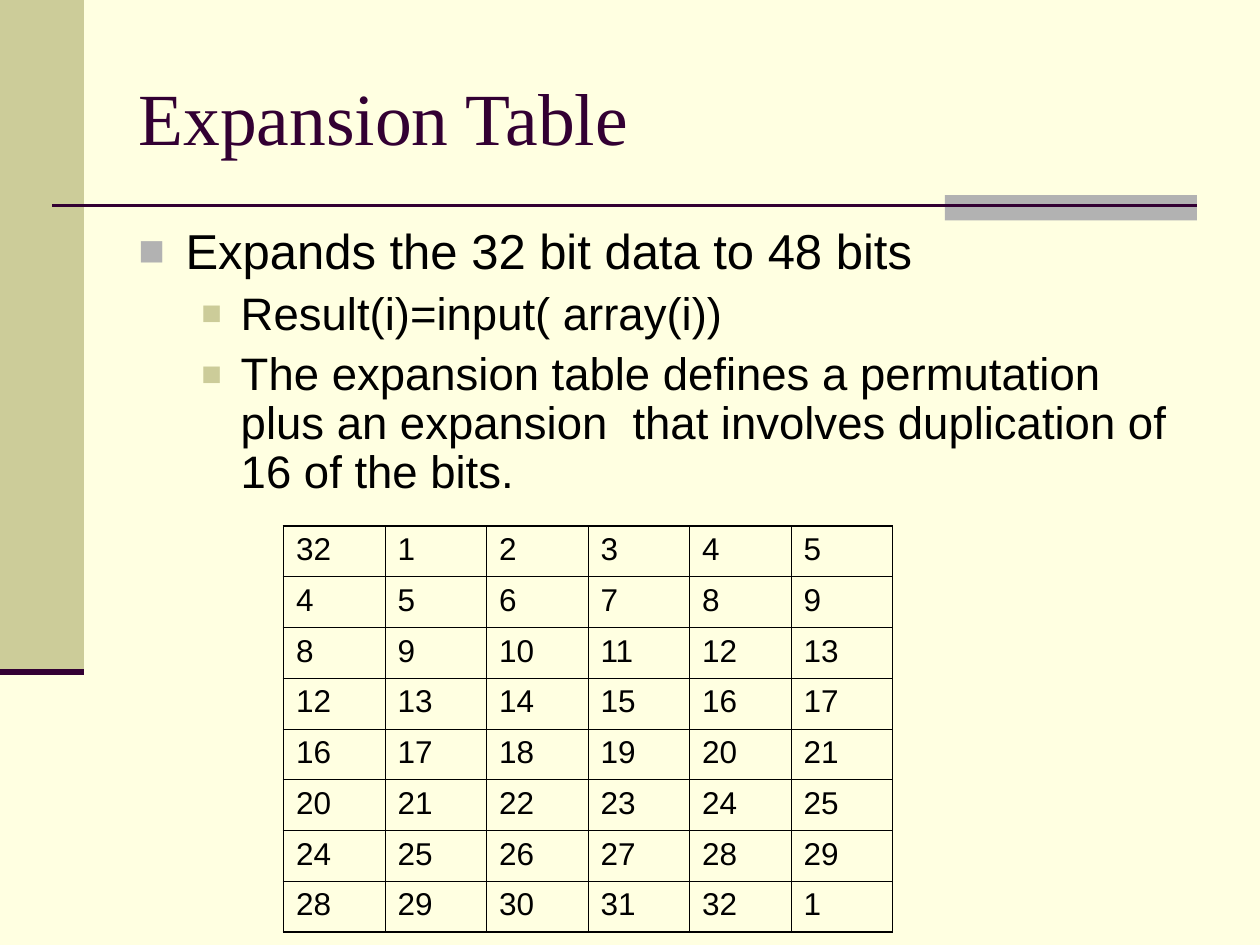
import lxml.etree
import pptx
import pptx.dml.color
import pptx.enum.shapes
import pptx.enum.text
import pptx.oxml.ns
import pptx.util

COLORS = {
    "background": "FFFFE1",
    "sidebar": "CCCC99",
    "accent": "B2B2B2",
    "heading": "330033",
    "text": "000000",
}
BULLET_STYLES = [
    {"size": 28, "before": 7, "margin": 27, "indent": -27, "color": "accent", "percent": 90},
    {"size": 26, "before": 6.5, "margin": 58.5, "indent": -22.5, "color": "sidebar", "percent": 75},
]
BULLETS = [
    (0, "Expands the 32 bit data to 48 bits"),
    (1, "Result(i)=input( array(i))"),
    (1, "The expansion table defines a permutation plus an expansion  that involves "
        "duplication of 16 of the bits."),
]
ROWS, COLUMNS, DATA_BITS = 8, 6, 32
EXPANSION = [
    [(4 * row + column - 1) % DATA_BITS + 1 for column in range(COLUMNS)]
    for row in range(ROWS)
]


def color(name):
    return pptx.dml.color.RGBColor.from_string(COLORS[name])


def add_element(parent, tag, **attributes):
    element = lxml.etree.SubElement(parent, pptx.oxml.ns.qn(tag))
    for name, value in attributes.items():
        element.set(name, str(value))
    return element


def points(*lengths):
    return [pptx.util.Pt(length) for length in lengths]


class SlideBuilder:
    heading_font = "Times New Roman"
    body_font = "Arial"
    inner_border = 0.45
    outer_border = 1.08

    def __init__(self, slide):
        self.slide = slide
        slide.background.fill.solid()
        slide.background.fill.fore_color.rgb = color("background")

    def format_font(self, paragraph, name, size, color_name):
        paragraph.font.name = name
        paragraph.font.size = pptx.util.Pt(size)
        paragraph.font.color.rgb = color(color_name)

    def rectangle(self, left, top, width, height, fill):
        shape = self.slide.shapes.add_shape(
            pptx.enum.shapes.MSO_SHAPE.RECTANGLE, *points(left, top, width, height))
        shape.shadow.inherit = False
        shape.fill.solid()
        shape.fill.fore_color.rgb = color(fill)
        shape.line.fill.background()

    def horizontal_line(self, left, right, top, width):
        connector = self.slide.shapes.add_connector(
            pptx.enum.shapes.MSO_CONNECTOR.STRAIGHT, *points(left, top, right, top))
        connector.line.color.rgb = color("heading")
        connector.line.width = pptx.util.Pt(width)
        add_element(connector._element.spPr, "a:effectLst")

    def title(self, text, left, top, width, height):
        shape = self.slide.shapes.title
        shape.left, shape.top, shape.width, shape.height = points(left, top, width, height)
        shape.text_frame.text = text
        shape.text_frame.vertical_anchor = pptx.enum.text.MSO_ANCHOR.MIDDLE
        paragraph = shape.text_frame.paragraphs[0]
        paragraph.alignment = pptx.enum.text.PP_ALIGN.LEFT
        self.format_font(paragraph, self.heading_font, 42, "heading")

    def bullets(self, items, left, top, width, height):
        frame = self.slide.shapes.add_textbox(*points(left, top, width, height)).text_frame
        frame.word_wrap = True
        for index, (level, text) in enumerate(items):
            style = BULLET_STYLES[level]
            paragraph = frame.add_paragraph() if index else frame.paragraphs[0]
            paragraph.text = text
            paragraph.level = level
            properties = paragraph._p.get_or_add_pPr()
            properties.set("marL", str(pptx.util.Pt(style["margin"])))
            properties.set("indent", str(pptx.util.Pt(style["indent"])))
            bullet_color = add_element(properties, "a:buClr")
            add_element(bullet_color, "a:srgbClr", val=COLORS[style["color"]])
            add_element(properties, "a:buSzPct", val=style["percent"] * 1000)
            add_element(properties, "a:buFont", typeface=self.body_font)
            add_element(properties, "a:buChar", char="■")
            paragraph.line_spacing = 0.9
            if index:
                paragraph.space_before = pptx.util.Pt(style["before"])
            self.format_font(paragraph, self.body_font, style["size"], "text")

    def border(self, cell, tag, is_outer):
        width = pptx.util.Pt(self.outer_border if is_outer else self.inner_border)
        line = add_element(cell._tc.get_or_add_tcPr(), tag, w=width)
        fill = add_element(line, "a:solidFill")
        add_element(fill, "a:srgbClr", val=COLORS["text"])

    def table(self, values, left, top, column_width, row_height):
        row_count, column_count = len(values), len(values[0])
        table = self.slide.shapes.add_table(
            row_count, column_count,
            *points(left, top, column_width * column_count, row_height * row_count)).table
        table.first_row = False
        table.horz_banding = False
        for row_index, row in enumerate(values):
            for column_index, value in enumerate(row):
                cell = table.cell(row_index, column_index)
                cell.text = str(value)
                self.format_font(cell.text_frame.paragraphs[0], self.body_font, 18, "text")
                self.border(cell, "a:lnL", column_index == 0)
                self.border(cell, "a:lnR", column_index == column_count - 1)
                self.border(cell, "a:lnT", row_index == 0)
                self.border(cell, "a:lnB", row_index == row_count - 1)
                cell.fill.background()


def main():
    presentation = pptx.Presentation()
    presentation.slide_width, presentation.slide_height = points(720, 540)
    builder = SlideBuilder(presentation.slides.add_slide(presentation.slide_layouts[5]))
    builder.rectangle(0, 0, 48, 384, "sidebar")
    builder.rectangle(540, 111.5, 144, 14.5, "accent")
    builder.horizontal_line(30, 684, 117.5, 1.5)
    builder.horizontal_line(0, 48, 384, 3.5)
    builder.title("Expansion Table", 72, 21.6, 612, 90)
    builder.bullets(BULLETS, 72, 126, 612, 172)
    builder.table(EXPANSION, 162, 300.5, 58, 29)
    presentation.save("out.pptx")


if __name__ == "__main__":
    main()
